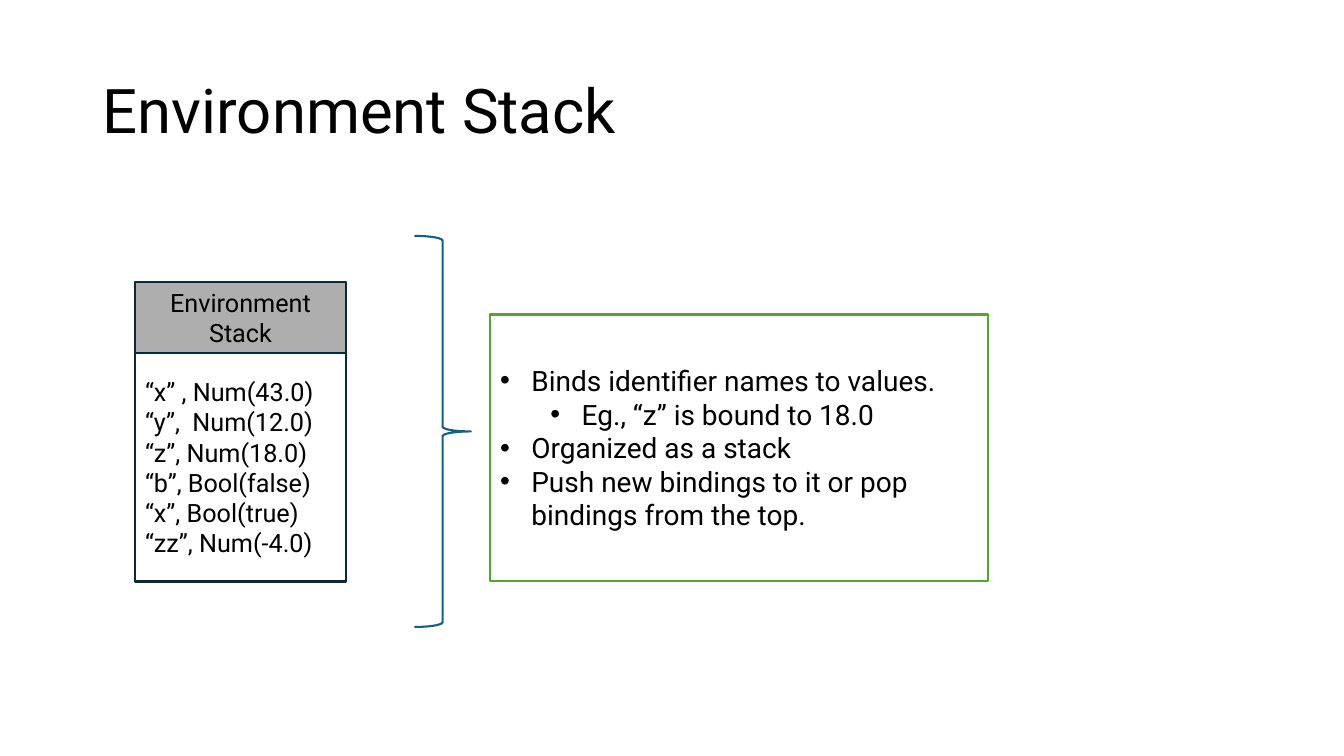
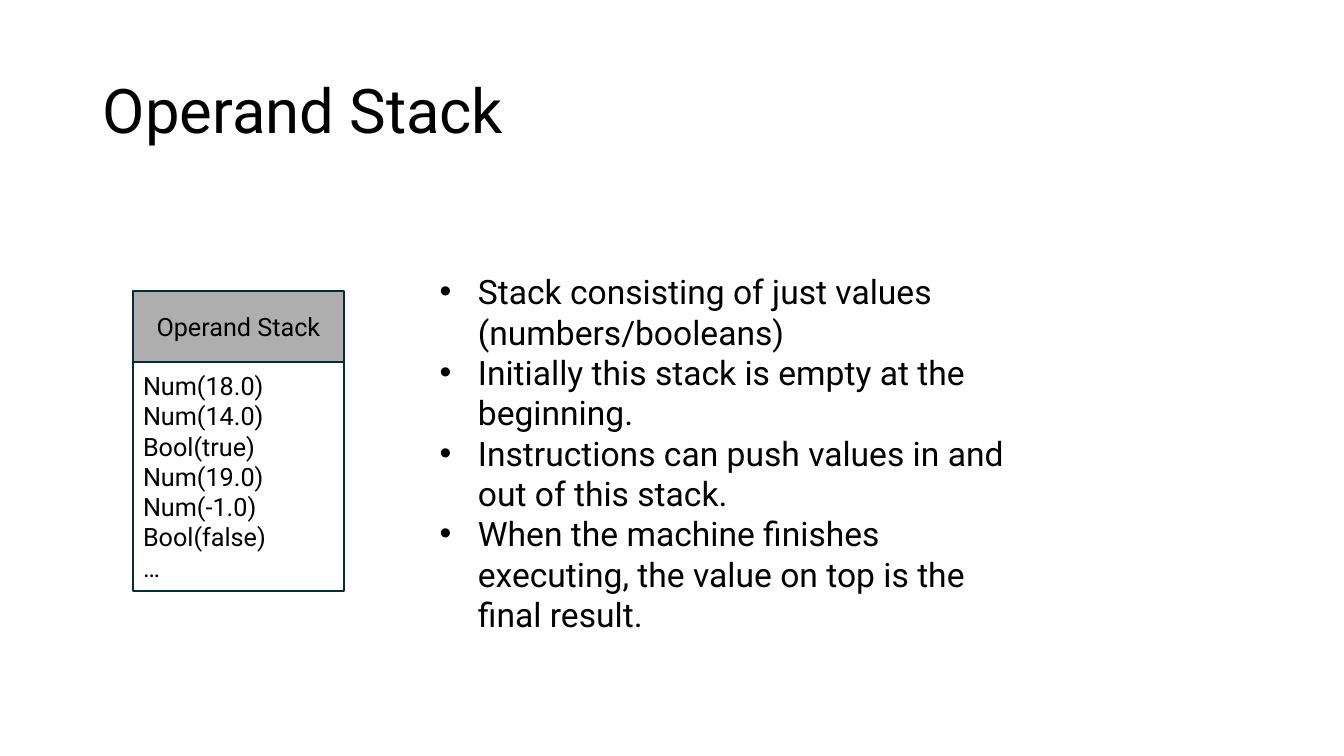
from lxml import etree
from pptx import Presentation
from pptx import util as u
from pptx.dml.color import RGBColor
from pptx.enum import shapes, text
from pptx.oxml.ns import qn


def rgb(value):
    return RGBColor.from_string(value)


class Deck:
    """Holds the shared style and the slide being built."""

    FONT = "Roboto"
    INK = "000000"
    WHITE = "FFFFFF"
    NAVY = "092A39"
    GREY = "AEAEAE"
    GREEN = "4EA72E"
    BLUE = "156082"
    LEFT = text.PP_ALIGN.LEFT
    CENTER = text.PP_ALIGN.CENTER

    def __init__(self):
        self.prs = Presentation()
        self.prs.slide_width = u.Inches(13.33)
        self.prs.slide_height = u.Inches(7.5)
        self.slide = None

    def place(self, sp, x, y, w, h):
        sp.left, sp.top, sp.width, sp.height = map(u.Inches, (x, y, w, h))

    def set_lines(self, sp, lines, size, align, anchor=text.MSO_ANCHOR.MIDDLE, spacing=1.0):
        tf = sp.text_frame
        tf.word_wrap = True
        tf.auto_size = text.MSO_AUTO_SIZE.NONE
        tf.vertical_anchor = anchor
        tf.text = "\n".join(lines)
        for p in tf.paragraphs:
            p.alignment = align
            p.line_spacing = spacing
            p.space_before = u.Pt(0)
            for r in p.runs:
                r.font.name = self.FONT
                r.font.size = u.Pt(size)
                r.font.color.rgb = rgb(self.INK)
        return tf

    def outline(self, sp, line, fill=None):
        if fill:
            sp.fill.solid()
            sp.fill.fore_color.rgb = rgb(fill)
        else:
            sp.fill.background()
        sp.line.color.rgb = rgb(line)
        sp.line.width = u.Pt(1.5)

    def new_slide(self, title):
        self.slide = self.prs.slides.add_slide(self.prs.slide_layouts[1])
        sp = self.slide.shapes.title
        self.place(sp, 0.92, 0.4, 11.5, 1.45)
        self.set_lines(sp, [title], 44, self.LEFT, spacing=0.9)

    def shape(self, kind, x, y, w, h, line, fill=None):
        sp = self.slide.shapes.add_shape(kind, *map(u.Inches, (x, y, w, h)))
        sp.shadow.inherit = False
        self.outline(sp, line, fill)
        return sp

    def stack(self, x, y, heading, entries):
        w, head_h, body_h = 2.09, 0.7, 2.27
        rect = shapes.MSO_SHAPE.RECTANGLE
        sp = self.shape(rect, x, y + head_h, w, body_h, self.NAVY)
        self.set_lines(sp, entries, 18, self.LEFT)
        sp = self.shape(rect, x, y, w, head_h, self.NAVY, self.GREY)
        self.set_lines(sp, [heading], 18, self.CENTER)

    def brace(self, x, y, w, h):
        self.shape(shapes.MSO_SHAPE.RIGHT_BRACE, x, y, w, h, self.BLUE)

    def bullets(self, x, y, w, h, items, size, hang, anchor):
        sp = self.slide.placeholders[1]
        self.place(sp, x, y, w, h)
        tf = self.set_lines(sp, [line for _, line in items], size, self.LEFT, anchor)
        for p, (level, _) in zip(tf.paragraphs, items):
            p.level = level
            pPr = p._p.get_or_add_pPr()
            pPr.set("marL", str(u.Inches(hang + 0.5 * level)))
            pPr.set("indent", str(-u.Inches(hang)))
            etree.SubElement(pPr, qn("a:buFont")).set("typeface", "Arial")
            etree.SubElement(pPr, qn("a:buChar")).set("char", "•")
        return sp


def main():
    deck = Deck()

    deck.new_slide("Environment Stack")
    deck.stack(1.34, 2.8, "Environment Stack", [
        "“x” , Num(43.0)",
        "“y”,  Num(12.0)",
        "“z”, Num(18.0)",
        "“b”, Bool(false)",
        "“x”, Bool(true)",
        "“zz”, Num(-4.0)",
    ])
    notes_box = deck.bullets(4.86, 3.12, 4.94, 2.64, [
        (0, "Binds identifier names to values."),
        (1, "Eg., “z” is bound to 18.0"),
        (0, "Organized as a stack"),
        (0, "Push new bindings to it or pop bindings from the top."),
    ], 20, 0.31, text.MSO_ANCHOR.MIDDLE)
    deck.outline(notes_box, deck.GREEN, deck.WHITE)
    deck.brace(4.11, 2.34, 0.56, 3.88)

    deck.new_slide("Operand Stack")
    deck.stack(1.32, 2.89, "Operand Stack", [
        "Num(18.0)",
        "Num(14.0)",
        "Bool(true)",
        "Num(19.0)",
        "Num(-1.0)",
        "Bool(false)",
        "…",
    ])
    deck.bullets(4.26, 2.64, 6.09, 3.33, [
        (0, "Stack consisting of just values (numbers/booleans)"),
        (0, "Initially this stack is empty at the beginning."),
        (0, "Instructions can push values in and out of this stack."),
        (0, "When the machine finishes executing, the value on top is the final result."),
    ], 24, 0.38, text.MSO_ANCHOR.TOP)

    deck.prs.save("out.pptx")


if __name__ == "__main__":
    main()
